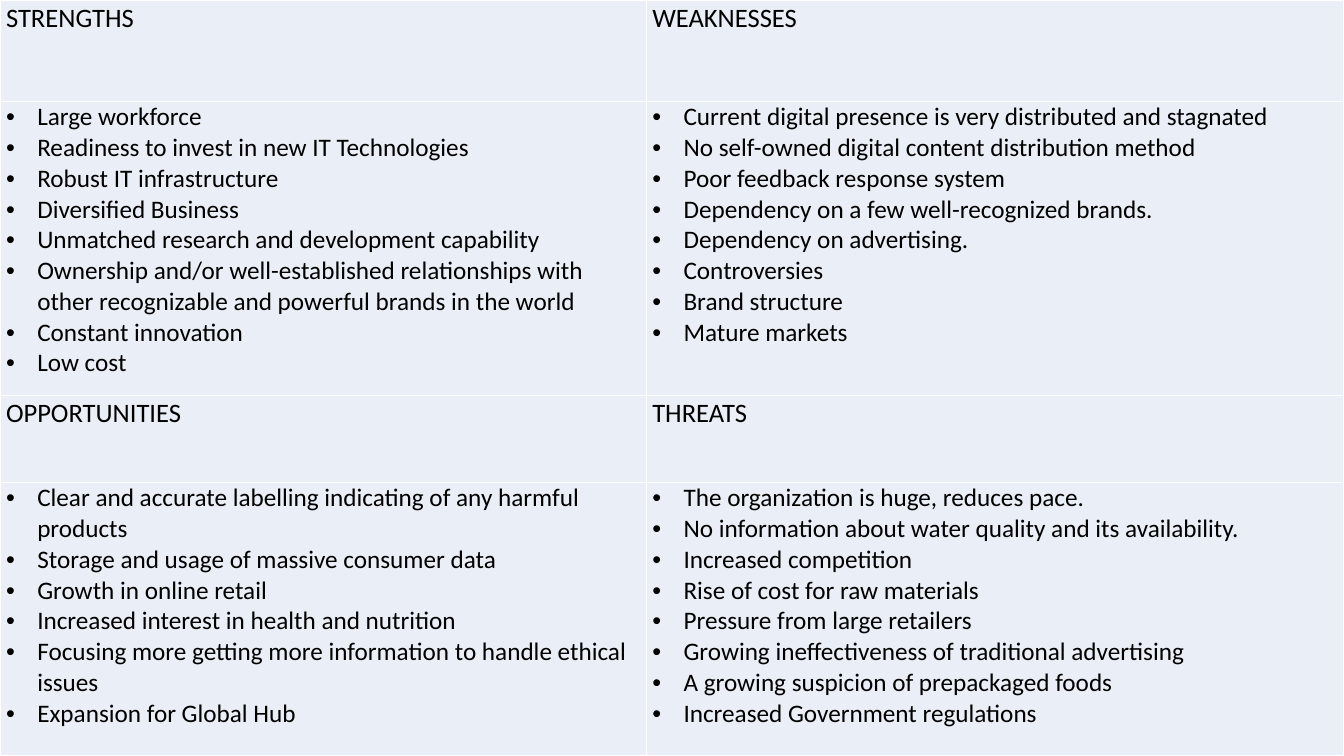
from dataclasses import dataclass

from lxml.etree import SubElement
from pptx import Presentation
from pptx.dml.color import RGBColor as Rgb
from pptx.oxml.ns import qn
from pptx.util import Inches, Pt


@dataclass(frozen=True)
class Theme:
    font: str = "Calibri"
    text: str = "000000"
    fill: str = "EAEFF7"
    border: str = "FFFFFF"
    border_width: float = 1
    heading_size: float = 19
    body_size: float = 18
    side_margin: float = 0.06
    bullet_indent: float = 0.31


THEME = Theme()
SLIDE_WIDTH, SLIDE_HEIGHT = 13.33, 7.5
COLUMN_WIDTHS = 6.41, 6.92
ROW_HEIGHTS = 1.01, 2.91, 0.87, 2.71

QUADRANTS = [
    [
        ("STRENGTHS", [
            "Large workforce",
            "Readiness to invest in new IT Technologies",
            "Robust IT infrastructure",
            "Diversified Business",
            "Unmatched research and development capability",
            "Ownership and/or well-established relationships with other "
            "recognizable and powerful brands in the world",
            "Constant innovation",
            "Low cost",
        ]),
        ("WEAKNESSES", [
            "Current digital presence is very distributed and stagnated",
            "No self-owned digital content distribution method",
            "Poor feedback response system",
            "Dependency on a few well-recognized brands.",
            "Dependency on advertising.",
            "Controversies",
            "Brand structure",
            "Mature markets",
        ]),
    ],
    [
        ("OPPORTUNITIES", [
            "Clear and accurate labelling indicating of any harmful products",
            "Storage and usage of massive consumer data",
            "Growth in online retail",
            "Increased interest in health and nutrition",
            "Focusing more getting more information to handle ethical issues",
            "Expansion for Global Hub",
        ]),
        ("THREATS", [
            "The organization is huge, reduces pace.",
            "No information about water quality and its availability.",
            "Increased competition",
            "Rise of cost for raw materials",
            "Pressure from large retailers",
            "Growing ineffectiveness of traditional advertising",
            "A growing suspicion of prepackaged foods",
            "Increased Government regulations",
        ]),
    ],
]


def style_cell(cell):
    cell.margin_left = cell.margin_right = Inches(THEME.side_margin)
    cell.margin_top = cell.margin_bottom = 0
    properties = cell._tc.get_or_add_tcPr()
    for side in ("lnL", "lnR", "lnT", "lnB"):
        line = SubElement(properties, qn(f"a:{side}"), w=str(Pt(THEME.border_width)))
        solid = SubElement(line, qn("a:solidFill"))
        SubElement(solid, qn("a:srgbClr"), val=THEME.border)
    cell.fill.solid()
    cell.fill.fore_color.rgb = Rgb.from_string(THEME.fill)


def style_text(para, size):
    para.font.name = THEME.font
    para.font.size = Pt(size)
    para.font.bold = False
    para.font.color.rgb = Rgb.from_string(THEME.text)


def fill_heading(cell, heading):
    style_cell(cell)
    para = cell.text_frame.paragraphs[0]
    para.text = heading
    para.line_spacing = 1.07
    para.space_after = Pt(8)
    style_text(para, THEME.heading_size)


def fill_bullets(cell, items):
    style_cell(cell)
    cell.text = "\n".join(items)
    indent = Inches(THEME.bullet_indent)
    for para in cell.text_frame.paragraphs:
        style_text(para, THEME.body_size)
        properties = para._p.get_or_add_pPr()
        properties.set("marL", str(indent))
        properties.set("indent", str(-indent))
        bullet_font = SubElement(properties, qn("a:buFont"), typeface="Arial")
        bullet_font.addnext(properties.makeelement(qn("a:buChar"), {"char": "•"}))
        default_run = properties.find(qn("a:defRPr"))
        if default_run is not None:
            properties.append(default_run)


def add_swot_table(slide, left, top, width, height):
    frame = slide.shapes.add_table(
        len(ROW_HEIGHTS), len(COLUMN_WIDTHS),
        Inches(left), Inches(top), Inches(width), Inches(height))
    table = frame.table
    table.first_row = table.horz_banding = False
    for column, share in zip(table.columns, COLUMN_WIDTHS):
        column.width = Inches(width * share / sum(COLUMN_WIDTHS))
    for row, share in zip(table.rows, ROW_HEIGHTS):
        row.height = Inches(height * share / sum(ROW_HEIGHTS))
    for band, quadrants in enumerate(QUADRANTS):
        for column, (heading, items) in enumerate(quadrants):
            fill_heading(table.cell(2 * band, column), heading)
            fill_bullets(table.cell(2 * band + 1, column), items)


def main():
    deck = Presentation()
    deck.slide_width, deck.slide_height = Inches(SLIDE_WIDTH), Inches(SLIDE_HEIGHT)
    slide = deck.slides.add_slide(deck.slide_layouts[6])
    add_swot_table(slide, 0, 0, SLIDE_WIDTH, SLIDE_HEIGHT)
    deck.save("out.pptx")


if __name__ == "__main__":
    main()
